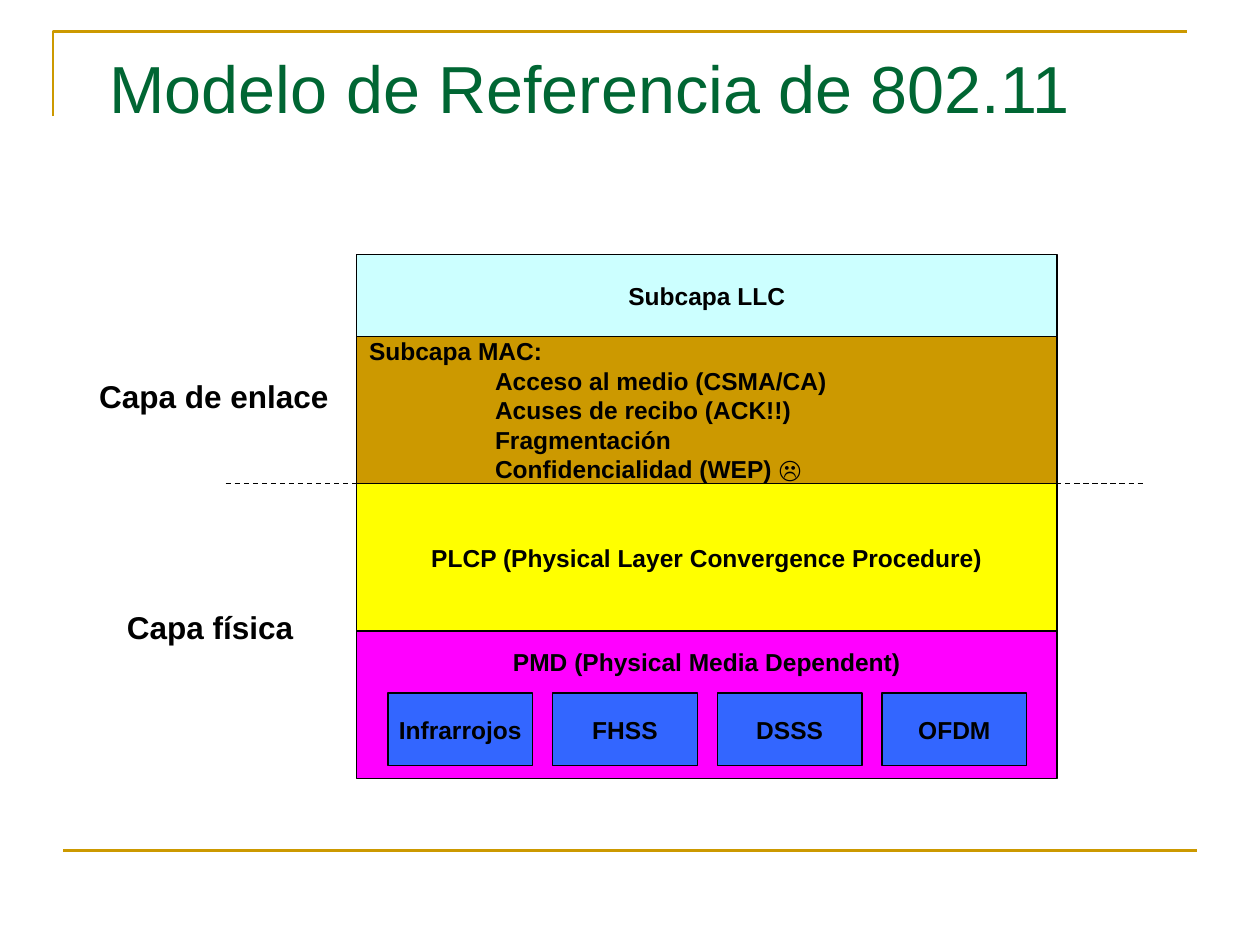
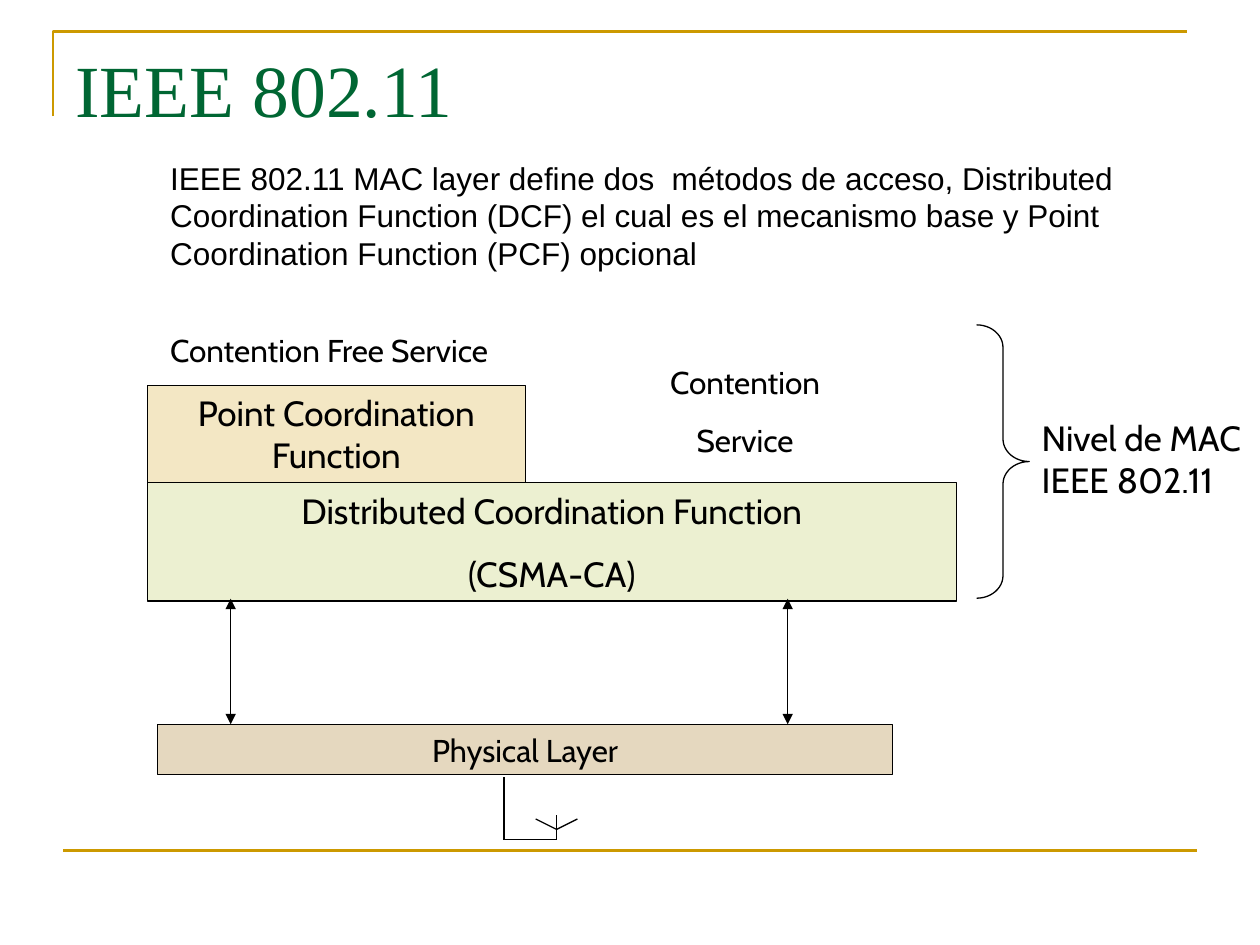
from lxml import etree
from pptx import Presentation
from pptx import util as u
from pptx.dml.color import RGBColor
from pptx.enum import dml, shapes, text
from pptx.oxml import ns

GOLD, GREEN, BLACK = "CC9900", "006633", "000000"
LEFT, CENTER = text.PP_ALIGN.LEFT, text.PP_ALIGN.CENTER
TOP, MIDDLE = text.MSO_ANCHOR.TOP, text.MSO_ANCHOR.MIDDLE

BOLD = {"size": u.Pt(14), "name": "Arial", "bold": True}
LABEL = {**BOLD, "size": u.Pt(18)}
BODY = {"size": u.Pt(18), "name": "Arial"}
CABIN = {"size": u.Pt(18), "name": "Cabin"}
CABIN_LARGE = {**CABIN, "size": u.Pt(20)}
TITLE_ARIAL = {"size": u.Pt(38), "name": "Arial"}
TITLE_TIMES = {"size": u.Pt(42), "name": "Times New Roman"}

FRAME_CORNER = [(1.07, 2.34), (1.07, 0.64), (23.93, 0.64)]
FRAME_FOOT = (1.27, 17.15, 24.13, 17.15)

STACK_LEFT, STACK_TOP, STACK_WIDTH = 7.19, 5.13, 14.12
LAYERS = [
    (["Subcapa LLC"], "CCFFFF", 1.65, {}),
    (["Subcapa MAC:", "Acceso al medio (CSMA/CA)", "Acuses de recibo (ACK!!)",
      "Fragmentación", "Confidencialidad (WEP) ☹"], GOLD, 2.97,
     {"align": LEFT, "indent": 2.54, "wrap": True}),
    (["PLCP (Physical Layer Convergence Procedure)"], "FFFF00", 2.97, {}),
    (["PMD (Physical Media Dependent)"], "FF00FF", 2.97, {"anchor": TOP, "margin_top": 0.33}),
]
LAYER_LABELS = [("Capa de enlace", (1.75, 7.47, 5.13, 1.02)), ("Capa física", (2.31, 12.12, 3.86, 1.02))]
LAYER_DIVIDER = (4.55, 9.75, 23.11, 9.75)
MODES = ["Infrarrojos", "FHSS", "DSSS", "OFDM"]
MODE_LEFT, MODE_TOP, MODE_WIDTH, MODE_HEIGHT, MODE_PITCH = 7.82, 13.97, 2.92, 1.47, 3.32

INTRO = ("IEEE 802.11 MAC layer define dos  métodos de acceso, Distributed Coordination Function (DCF) "
         "el cual es el mecanismo base y Point Coordination Function (PCF) opcional")
FUNCTION_BOXES = [
    (["Point Coordination Function"], (2.97, 7.77, 7.62, 1.96), GOLD, 23, CABIN_LARGE, 12.5),
    (["Distributed Coordination Function", "(CSMA-CA)"],
     (2.97, 9.73, 16.31, 2.39), "AFBF39", 23, CABIN_LARGE, 12.5),
    (["Physical Layer"], (3.18, 14.6, 14.81, 1.02), "996600", 25, CABIN, 11.2),
]
SERVICE_LABELS = [
    (["Contention Free Service"], (3.18, 6.55, 7.19, 1.78), CABIN, LEFT, 11.2),
    (["Contention", "Service"], (12.9, 7.19, 4.24, 2.18), CABIN, CENTER, 11.2),
    (["Nivel de MAC IEEE 802.11"], (20.75, 8.26, 4.65, 2.79), CABIN_LARGE, LEFT, 12.5),
]
BRACE = (19.69, 6.55, 1.06, 5.51)
ARROW_COLUMNS, ARROW_TOP, ARROW_BOTTOM = [4.65, 15.88], 12.07, 14.6
ANTENNA = [
    [(10.16, 15.67), (10.16, 16.93), (11.22, 16.93), (11.22, 16.43)],
    [(10.8, 16.51), (11.22, 16.72), (11.64, 16.51)],
]


def color(value):
    return RGBColor.from_string(value)


def cm(values):
    return [u.Cm(value) for value in values]


def style_line(line, value=BLACK, width=0.75):
    line.color.rgb = color(value)
    line.width = u.Pt(width)


def write(shape, lines, font, fill=BLACK, align=LEFT, anchor=TOP, wrap=True,
          before=0, indent=0, margin_top=0.13):
    frame = shape.text_frame
    settings = {"word_wrap": wrap, "vertical_anchor": anchor, "margin_left": u.Cm(0.25),
                "margin_right": u.Cm(0.25), "margin_top": u.Cm(margin_top), "margin_bottom": u.Cm(0.13)}
    for name, value in settings.items():
        setattr(frame, name, value)
    for index, line in enumerate(lines):
        paragraph = frame.add_paragraph() if index else frame.paragraphs[0]
        paragraph.alignment = align
        paragraph.space_before = u.Pt(before)
        if index and indent:
            paragraph._p.get_or_add_pPr().set("marL", str(u.Cm(indent)))
        run = paragraph.add_run()
        run.text = line
        for name, value in font.items():
            setattr(run.font, name, value)
        run.font.color.rgb = color(fill)


def add_label(slide, lines, place, font, **layout):
    write(slide.shapes.add_textbox(*cm(place)), lines, font, **layout)


def add_box(slide, lines, place, fill, font, opacity=100, **layout):
    shape = slide.shapes.add_shape(shapes.MSO_SHAPE.RECTANGLE, *cm(place))
    shape.shadow.inherit = False
    shape.fill.solid()
    shape.fill.fore_color.rgb = color(fill)
    if opacity < 100:
        tint = shape._element.spPr.find(ns.qn("a:solidFill"))[0]
        etree.SubElement(tint, ns.qn("a:alpha"), val=str(opacity * 1000))
    style_line(shape.line)
    write(shape, lines, font, **{"align": CENTER, **layout})


def add_line(slide, ends, value=BLACK, width=0.75, dash=None, arrows=False):
    connector = slide.shapes.add_connector(shapes.MSO_CONNECTOR.STRAIGHT, *cm(ends))
    style_line(connector.line, value, width)
    if dash:
        connector.line.dash_style = dash
    if arrows:
        for tag in ("a:headEnd", "a:tailEnd"):
            etree.SubElement(connector.line._get_or_add_ln(), ns.qn(tag), type="triangle")
    etree.SubElement(connector._element.spPr, ns.qn("a:effectLst"))


def add_framed_slide(presentation, title, place, font):
    slide = presentation.slides.add_slide(presentation.slide_layouts[6])
    start, *rest = [cm(point) for point in FRAME_CORNER]
    builder = slide.shapes.build_freeform(*start)
    builder.add_line_segments(rest, close=False)
    corner = builder.convert_to_shape()
    corner.shadow.inherit = False
    corner.fill.background()
    style_line(corner.line, GOLD, 1.5)
    add_line(slide, FRAME_FOOT, GOLD, 1.5)
    add_label(slide, [title], place, font, fill=GREEN)
    return slide


def build_reference_model(presentation):
    slide = add_framed_slide(presentation, "Modelo de Referencia de 802.11",
                             (1.96, 0.81, 21.59, 1.93), TITLE_ARIAL)
    top = STACK_TOP
    for lines, fill, height, layout in LAYERS:
        add_box(slide, lines, (STACK_LEFT, top, STACK_WIDTH, height), fill, BOLD,
                **{"anchor": MIDDLE, "wrap": False, **layout})
        top += height
    add_line(slide, LAYER_DIVIDER, dash=dml.MSO_LINE.DASH)
    for label, place in LAYER_LABELS:
        add_label(slide, [label], place, LABEL, wrap=False)
    for index, mode in enumerate(MODES):
        place = (MODE_LEFT + index * MODE_PITCH, MODE_TOP, MODE_WIDTH, MODE_HEIGHT)
        add_box(slide, [mode], place, "3366FF", BOLD, anchor=MIDDLE, wrap=False)


def build_access_methods(presentation):
    slide = add_framed_slide(presentation, "IEEE 802.11", (1.27, 0.76, 22.86, 3.18), TITLE_TIMES)
    for lines, place, fill, opacity, font, before in FUNCTION_BOXES:
        add_box(slide, lines, place, fill, font, opacity, before=before)
    for lines, place, font, align, before in SERVICE_LABELS:
        add_label(slide, lines, place, font, align=align, before=before)
    brace = slide.shapes.add_shape(shapes.MSO_SHAPE.RIGHT_BRACE, *cm(BRACE))
    brace.shadow.inherit = False
    brace.fill.background()
    brace.adjustments[0] = 0.43
    style_line(brace.line)
    for column in ARROW_COLUMNS:
        add_line(slide, (column, ARROW_TOP, column, ARROW_BOTTOM), arrows=True)
    for points in ANTENNA:
        for start, end in zip(points, points[1:]):
            add_line(slide, start + end)
    add_label(slide, [INTRO], (3.18, 3.07, 19.69, 2.54), BODY)


def main():
    presentation = Presentation()
    presentation.slide_width, presentation.slide_height = cm((25.4, 19.05))
    build_reference_model(presentation)
    build_access_methods(presentation)
    presentation.save("out.pptx")


if __name__ == "__main__":
    main()
